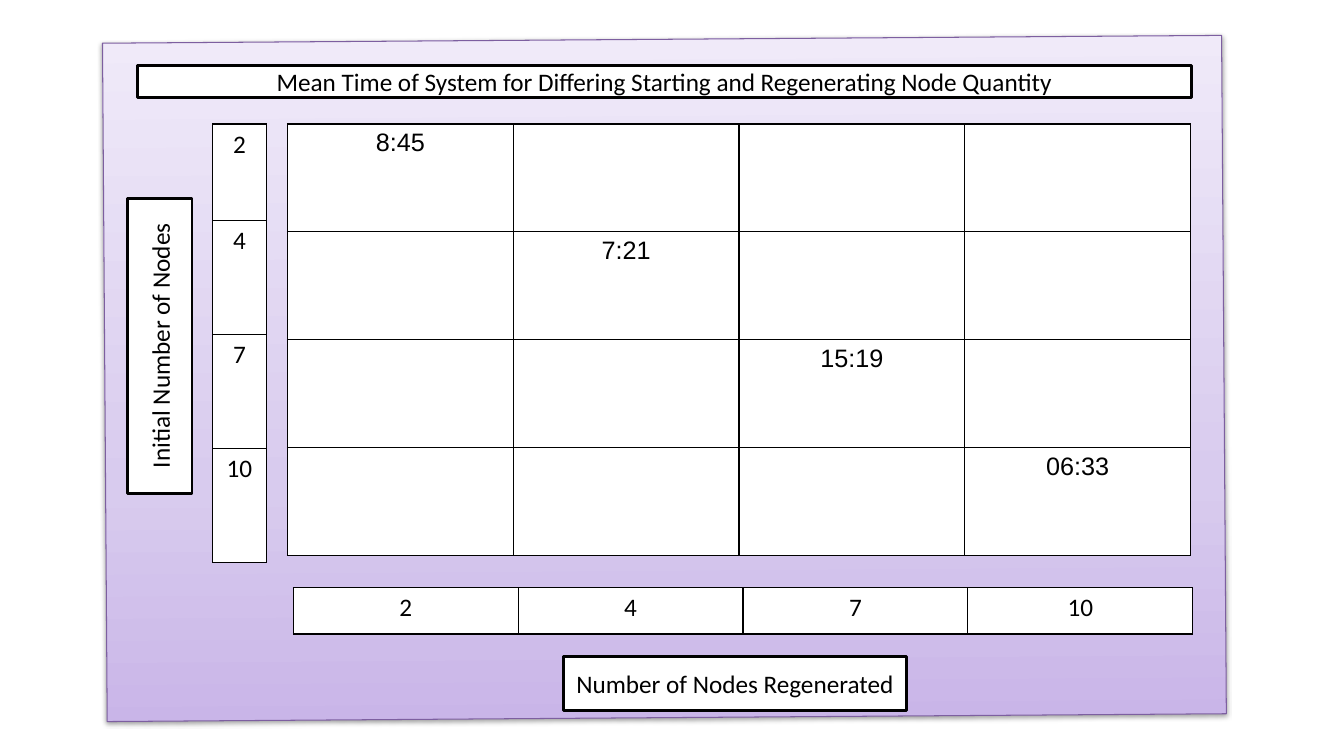
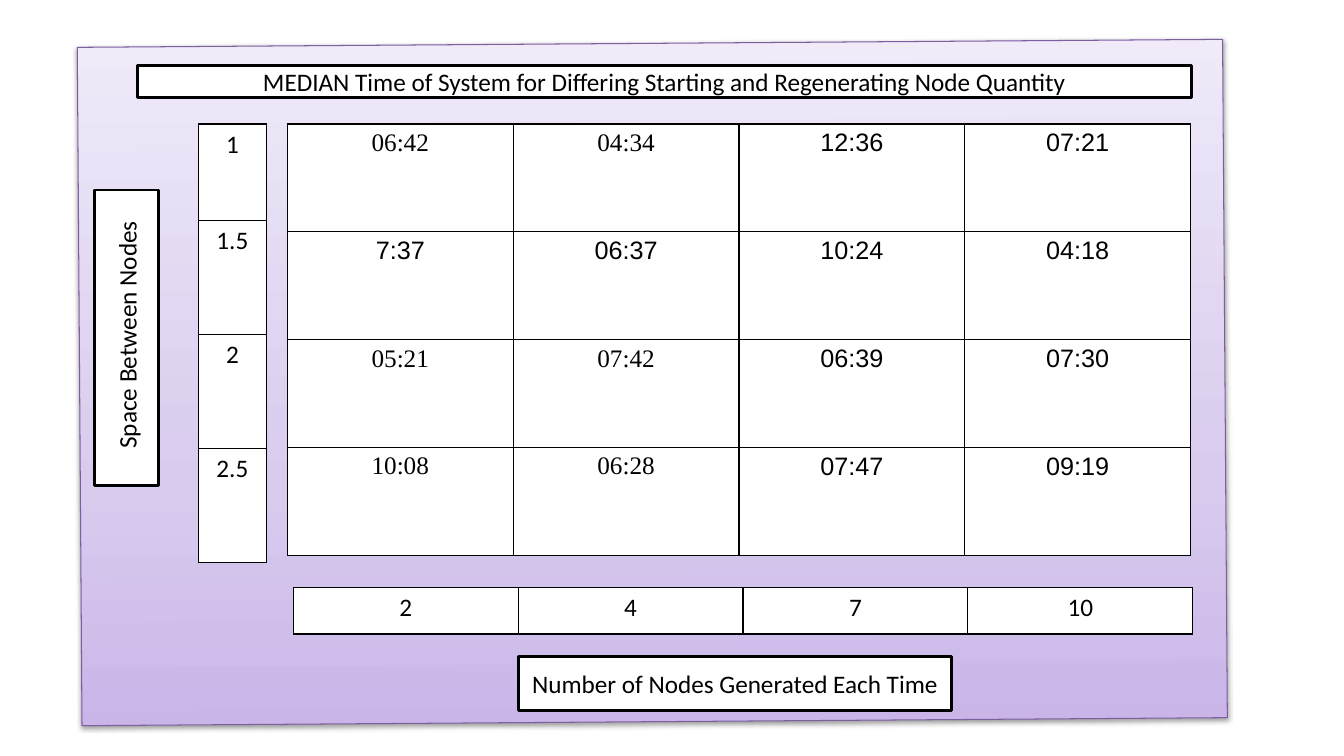
"""Build two slides of timing grids by node quantity and spacing."""
from copy import deepcopy
from dataclasses import dataclass

from lxml import etree
from pptx import Presentation
from pptx import util as u
from pptx.dml.color import RGBColor
from pptx.enum import shapes, text
from pptx.oxml import parse_xml
from pptx.oxml.ns import nsdecls, qn


@dataclass(frozen=True)
class Theme:
    ink: str = "000000"
    paper: str = "FFFFFF"
    panel_line: str = "7D5FA0"
    panel_stops: tuple = ((0, "C9B5E8"), (0.35, "D8CBEE"), (1, "F0EAF9"))
    label_font: str = "Calibri"
    value_font: str = "Arial"
    serif_font: str = "Times New Roman"
    size: int = 18
    box_line: float = 2
    grid_line: float = 0.96


theme = Theme()
ink = RGBColor.from_string(theme.ink)
paper = RGBColor.from_string(theme.paper)

pages = [
    {
        "title": "Mean Time of System for Differing Starting and Regenerating Node Quantity",
        "panel": (1.04, 0.39, 11.1, 6.73),
        "side": ("Initial Number of Nodes", 0.12, 3.11),
        "bottom": ("Number of Nodes Regenerated", 5.59, 3.4),
        "scale": (2.11, 0.53, ["2", "4", "7", "10"]),
        "times": [
            ["8:45", "", "", ""],
            ["", "7:21", "", ""],
            ["", "", "15:19", ""],
            ["", "", "", "06:33"],
        ],
        "serif_cells": set(),
    },
    {
        "title": "MEDIAN Time of System for Differing Starting and Regenerating Node Quantity",
        "panel": (0.79, 0.43, 11.36, 6.73),
        "side": (" Space Between Nodes", -0.21, 3.03),
        "bottom": ("Number of Nodes Generated Each Time", 5.14, 4.3),
        "scale": (1.97, 0.67, ["1", "1.5", "2", "2.5"]),
        "times": [
            ["06:42", "04:34", "12:36", "07:21"],
            ["7:37", "06:37", "10:24", "04:18"],
            ["05:21", "07:42", "06:39", "07:30"],
            ["10:08", "06:28", "07:47", "09:19"],
        ],
        "serif_cells": {(row, column) for row in (0, 2, 3) for column in (0, 1)},
    },
]


def write(frame, words, font):
    frame.text = words
    para = frame.paragraphs[0]
    para.alignment = text.PP_ALIGN.CENTER
    for span in para.runs:
        span.font.name = font
        span.font.size = u.Pt(theme.size)
        span.font.color.rgb = ink


def add_grid(page, left, top, column_width, heights, rows, font, serif_cells=()):
    columns = len(rows[0])
    grid = page.shapes.add_table(
        len(rows), columns, u.Inches(left), u.Inches(top),
        u.Inches(column_width * columns), u.Inches(sum(heights))).table
    grid.first_row = grid.horz_banding = False
    for column in grid.columns:
        column.width = u.Inches(column_width)
    for row_index, (height, row) in enumerate(zip(heights, rows)):
        grid.rows[row_index].height = u.Inches(height)
        for column_index, words in enumerate(row):
            cell = grid.cell(row_index, column_index)
            if words:
                serif = (row_index, column_index) in serif_cells
                write(cell.text_frame, words, theme.serif_font if serif else font)
            properties = cell._tc.get_or_add_tcPr()
            for side in ("lnL", "lnR", "lnT", "lnB"):
                properties.append(parse_xml(
                    f'<a:{side} {nsdecls("a")} w="{u.Pt(theme.grid_line)}"><a:solidFill>'
                    f'<a:srgbClr val="{theme.ink}"/></a:solidFill></a:{side}>'))
            cell.fill.solid()
            cell.fill.fore_color.rgb = paper


deck = Presentation()
deck.slide_width, deck.slide_height = u.Inches(13.33), u.Inches(7.5)
title_only = deck.slide_layouts[5]

for content in pages:
    page = deck.slides.add_slide(title_only)

    panel = page.shapes.add_shape(
        shapes.MSO_SHAPE.RECTANGLE, *(u.Inches(length) for length in content["panel"]))
    panel.rotation = 359.6
    panel.fill.gradient()
    panel.fill.gradient_angle = 90
    stop_list = panel.element.spPr.find(".//" + qn("a:gsLst"))
    stop_list.append(deepcopy(stop_list[0]))
    for stop, (position, color) in zip(panel.fill.gradient_stops, theme.panel_stops):
        stop.position = position
        stop.color.rgb = RGBColor.from_string(color)
    panel.line.color.rgb = RGBColor.from_string(theme.panel_line)
    panel.line.width = u.Pt(0.75)
    panel.shadow.inherit = False
    shadow = etree.SubElement(
        panel.element.spPr.find(qn("a:effectLst")), qn("a:outerShdw"),
        blurRad=str(u.Pt(3.1)), dist=str(u.Pt(1.6)), dir="5400000", rotWithShape="0")
    shadow_color = etree.SubElement(shadow, qn("a:srgbClr"), val=theme.ink)
    etree.SubElement(shadow_color, qn("a:alpha"), val="38000")

    add_grid(page, 2.85, 1.23, 2.24, [1.07] * 4, content["times"],
             theme.value_font, content["serif_cells"])
    scale_left, scale_width, scale = content["scale"]
    add_grid(page, scale_left, 1.23, scale_width, [0.96] + [1.13] * 3,
             [[step] for step in scale], theme.label_font)
    add_grid(page, 2.91, 5.83, 2.23, [0.46], [["2", "4", "7", "10"]], theme.label_font)

    side_words, side_left, side_top = content["side"]
    side_label = page.shapes.add_shape(
        shapes.MSO_SHAPE.RECTANGLE, u.Inches(side_left), u.Inches(side_top),
        u.Inches(2.93), u.Inches(0.64))
    side_label.rotation = 270
    bottom_words, bottom_left, bottom_width = content["bottom"]
    bottom_label = page.shapes.add_shape(
        shapes.MSO_SHAPE.RECTANGLE, u.Inches(bottom_left), u.Inches(6.51),
        u.Inches(bottom_width), u.Inches(0.54))
    title = page.shapes.title
    title.left, title.top = u.Inches(1.36), u.Inches(0.65)
    title.width, title.height = u.Inches(10.46), u.Inches(0.32)
    page.shapes.element.append(title.element)

    for box, words in ((side_label, side_words), (bottom_label, bottom_words),
                       (title, content["title"])):
        box.fill.solid()
        box.fill.fore_color.rgb = paper
        box.line.color.rgb = ink
        box.line.width = u.Pt(theme.box_line)
        box.shadow.inherit = False
        box.text_frame.word_wrap = True
        box.text_frame.auto_size = text.MSO_AUTO_SIZE.NONE
        box.text_frame.vertical_anchor = text.MSO_ANCHOR.MIDDLE
        write(box.text_frame, words, theme.label_font)

deck.save("out.pptx")
